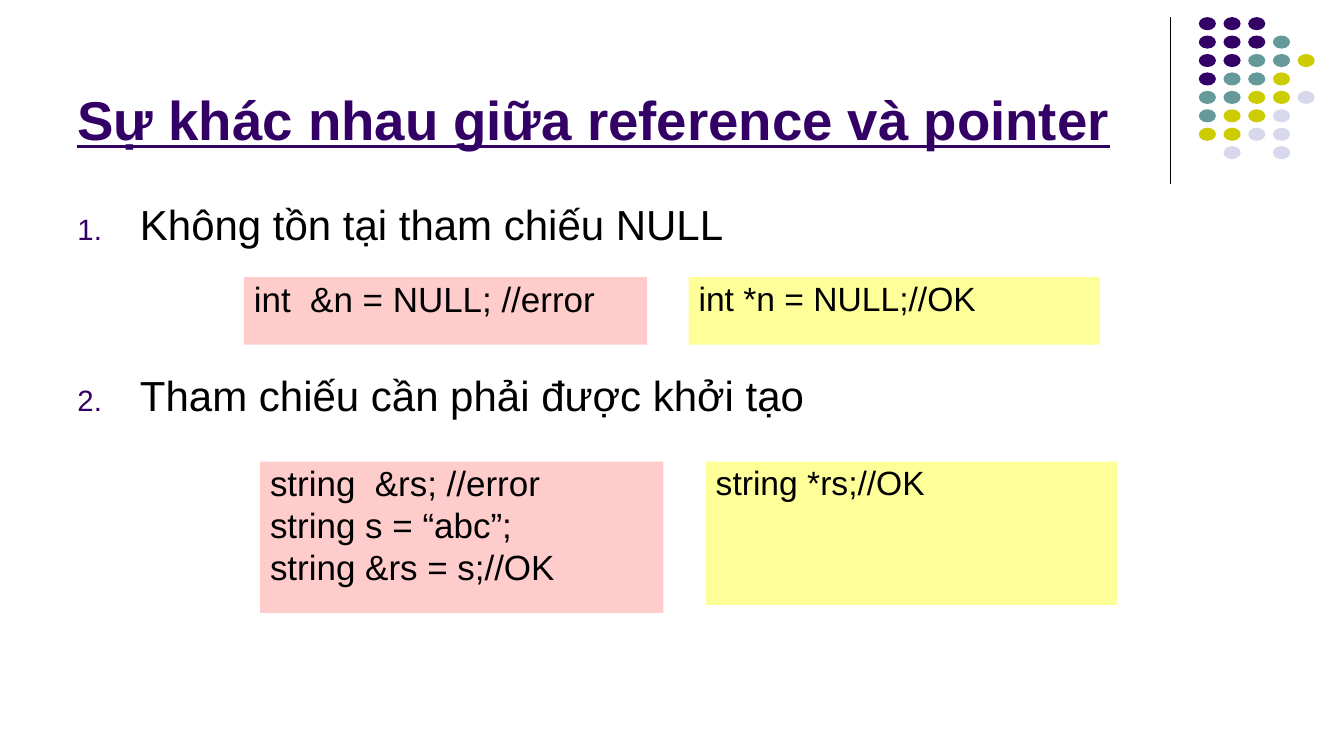
from lxml import etree
from pptx import Presentation
from pptx.dml.color import RGBColor
from pptx.enum import shapes, text
from pptx.oxml import ns
from pptx.util import Inches, Pt

BLACK = RGBColor(0x00, 0x00, 0x00)
PURPLE = RGBColor(0x33, 0x00, 0x66)
TEAL = RGBColor(0x66, 0x99, 0x99)
OLIVE = RGBColor(0xCC, 0xCC, 0x00)
LILAC = RGBColor(0xD8, 0xD8, 0xEC)
PINK = RGBColor(0xFF, 0xCC, 0xCC)
YELLOW = RGBColor(0xFF, 0xFF, 0x99)

HUES = {"P": PURPLE, "T": TEAL, "O": OLIVE, "L": LILAC}
DOTS = ["PPP", "PPPT", "PPTTO", "PTTO", "TTOOL", "TOOL", "OOLL", " L L"]


def set_font(para, size, color):
    font = para.font
    font.name = "Arial"
    font.size = Pt(size)
    font.color.rgb = color
    return font


def add_shape(parent, kind, x, y, w, h, fill):
    shape = parent.add_shape(kind, Inches(x), Inches(y), Inches(w), Inches(h))
    shape.shadow.inherit = False
    shape.fill.solid()
    shape.fill.fore_color.rgb = fill
    shape.line.fill.background()
    return shape


def add_rule(slide, x, top, end):
    rule = slide.shapes.add_connector(
        shapes.MSO_CONNECTOR.STRAIGHT, Inches(x), Inches(top), Inches(x), Inches(end))
    rule.line.color.rgb = BLACK
    rule.line.width = Pt(0.75)
    etree.SubElement(rule._element.spPr, ns.qn("a:effectLst"))


def add_dots(slide):
    group = slide.shapes.add_group_shape()
    for row, marks in enumerate(DOTS):
        for col, mark in enumerate(marks):
            if mark in HUES:
                add_shape(group.shapes, shapes.MSO_SHAPE.OVAL, 11.89 + 0.98 * col / 4,
                          0.17 + 1.28 * row / 7, 0.17, 0.13, HUES[mark])


def add_text(slide, x, y, w, h):
    box = slide.shapes.add_textbox(Inches(x), Inches(y), Inches(w), Inches(h))
    box.text_frame.word_wrap = True
    return box.text_frame


def add_title(slide, words):
    frame = add_text(slide, 0.67, 0.13, 11, 1.42)
    frame.vertical_anchor = text.MSO_ANCHOR.BOTTOM
    frame.text = words
    font = set_font(frame.paragraphs[0], 39, PURPLE)
    font.bold = True
    font.underline = True


def add_number(para):
    props = para._p.get_or_add_pPr()
    props.set("marL", str(Inches(0.62)))
    props.set("indent", str(-Inches(0.62)))
    color = etree.SubElement(props, ns.qn("a:buClr"))
    etree.SubElement(color, ns.qn("a:srgbClr"), val=str(PURPLE))
    etree.SubElement(props, ns.qn("a:buSzPct"), val="70000")
    etree.SubElement(props, ns.qn("a:buFont"), typeface="Arial")
    etree.SubElement(props, ns.qn("a:buAutoNum"), type="arabicPeriod")


def add_list(slide, items):
    frame = add_text(slide, 0.67, 1.92, 12, 4.78)
    frame.text = "\n".join(items)
    for index, para in enumerate(frame.paragraphs):
        add_number(para)
        if index:
            para.space_before = Pt(86)
        set_font(para, 30, BLACK)


def add_code(slide, x, y, w, h, fill, size, lines):
    box = add_shape(slide.shapes, shapes.MSO_SHAPE.RECTANGLE, x, y, w, h, fill)
    frame = box.text_frame
    frame.word_wrap = True
    frame.vertical_anchor = text.MSO_ANCHOR.TOP
    frame.margin_top = Inches(0.08)
    frame.text = "\n".join(lines)
    for index, para in enumerate(frame.paragraphs):
        para.alignment = text.PP_ALIGN.LEFT
        para.line_spacing = 0.8
        if index:
            para.space_before = Pt(6)
        set_font(para, size, BLACK)


def main():
    deck = Presentation()
    deck.slide_width = Inches(13.33)
    deck.slide_height = Inches(7.5)
    slide = deck.slides.add_slide(deck.slide_layouts[6])
    add_rule(slide, 11.61, 0.17, 1.83)
    add_dots(slide)
    add_title(slide, "Sự khác nhau giữa reference và pointer")
    add_list(slide, ["Không tồn tại tham chiếu NULL",
                     "Tham chiếu cần phải được khởi tạo"])
    add_code(slide, 2.42, 2.75, 4, 0.67, PINK, 25, ["int  &n = NULL; //error"])
    add_code(slide, 6.83, 2.75, 4.08, 0.67, YELLOW, 24, ["int *n = NULL;//OK"])
    add_code(slide, 2.58, 4.58, 4, 1.5, PINK, 25,
             ["string  &rs; //error", "string s = “abc”;", "string &rs = s;//OK"])
    add_code(slide, 7, 4.58, 4.08, 1.42, YELLOW, 24, ["string *rs;//OK"])
    deck.save("out.pptx")


if __name__ == "__main__":
    main()
